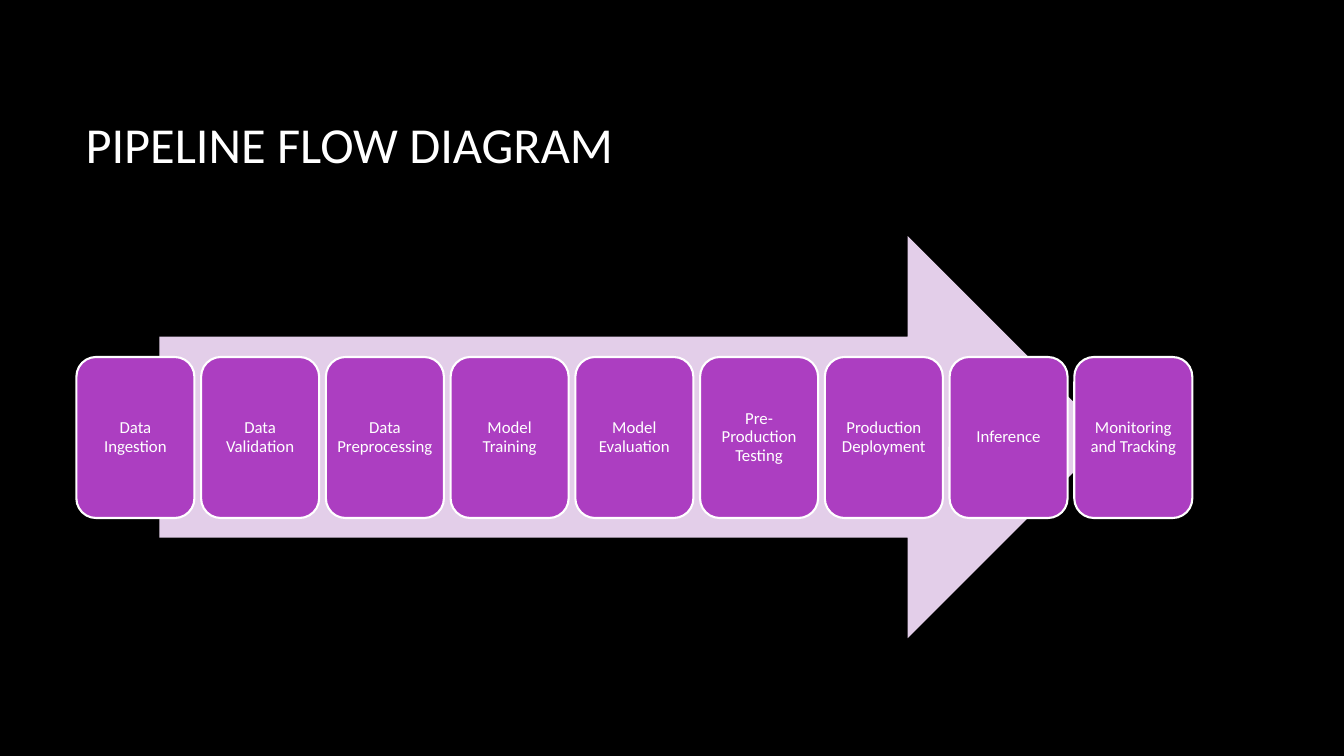
import pptx
import pptx.util
import pptx.dml.color
import pptx.enum.shapes
import pptx.enum.text

Pt = pptx.util.Pt
SHAPES = pptx.enum.shapes.MSO_SHAPE
ALIGN = pptx.enum.text.PP_ALIGN

BLACK = "000000"
WHITE = "FFFFFF"
PURPLE = "AC3EC1"
LILAC = "E3CEE9"

STAGES = [
    "Data Ingestion",
    "Data Validation",
    "Data Preprocessing",
    "Model Training",
    "Model Evaluation",
    "Pre-Production Testing",
    "Production Deployment",
    "Inference",
    "Monitoring and Tracking",
]
FIRST_STAGE_LEFT = 54.6
STAGE_PITCH = 89.1
STAGE_TOP = 255
STAGE_WIDTH = 84.3
STAGE_HEIGHT = 115


def set_fill(fill, color):
    fill.solid()
    fill.fore_color.rgb = pptx.dml.color.RGBColor.from_string(color)


def write_text(frame, text, size, align=ALIGN.LEFT, inset=(7.2, 3.6), spacing=0.9):
    """Fill a frame with one vertically centred paragraph; inset is (sides, top and bottom)."""
    frame.word_wrap = True
    frame.vertical_anchor = pptx.enum.text.MSO_ANCHOR.MIDDLE
    frame.margin_left = frame.margin_right = Pt(inset[0])
    frame.margin_top = frame.margin_bottom = Pt(inset[1])
    paragraph = frame.paragraphs[0]
    paragraph.alignment = align
    paragraph.line_spacing = spacing
    run = paragraph.add_run()
    run.text = text
    run.font.name = "Calibri"
    run.font.size = Pt(size)
    set_fill(run.font.fill, WHITE)


def add_block(slide, preset, left, top, width, height, color, outline=None):
    block = slide.shapes.add_shape(preset, Pt(left), Pt(top), Pt(width), Pt(height))
    block.shadow.inherit = False
    set_fill(block.fill, color)
    if outline:
        set_fill(block.line.fill, outline)
        block.line.width = Pt(1.5)
    else:
        block.line.fill.background()
    return block


def add_title(slide, text):
    title = slide.shapes.add_textbox(Pt(54), Pt(48.2), Pt(797.8), Pt(114.5))
    write_text(title.text_frame, text, 36)


def add_stage(slide, index, name):
    left = FIRST_STAGE_LEFT + index * STAGE_PITCH
    stage = add_block(slide, SHAPES.ROUNDED_RECTANGLE, left, STAGE_TOP,
                      STAGE_WIDTH, STAGE_HEIGHT, PURPLE, outline=WHITE)
    write_text(stage.text_frame, name, 12, align=ALIGN.CENTER, inset=(3.6, 3.6))


def main():
    deck = pptx.Presentation()
    deck.slide_width = Pt(960)
    deck.slide_height = Pt(540)
    slide = deck.slides.add_slide(deck.slide_layouts[6])
    set_fill(slide.background.fill, BLACK)

    add_title(slide, "PIPELINE FLOW DIAGRAM")
    add_block(slide, SHAPES.RIGHT_ARROW, 113.8, 168.7, 678.2, 287.2, LILAC)
    for index, name in enumerate(STAGES):
        add_stage(slide, index, name)

    deck.save("out.pptx")


if __name__ == "__main__":
    main()
